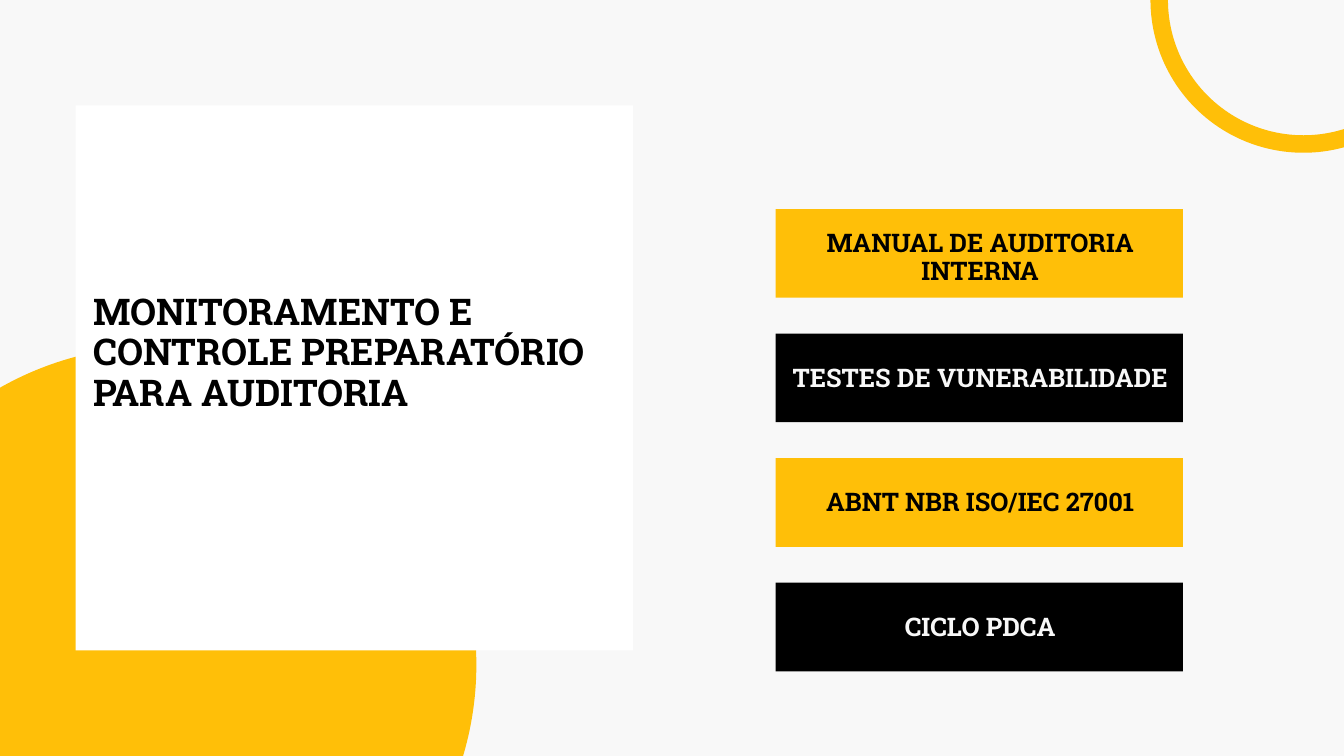
from collections import namedtuple
from pptx import Presentation
from pptx.dml.color import RGBColor
from pptx.enum.shapes import MSO_SHAPE as SHAPE
from pptx.enum.text import MSO_AUTO_SIZE as FIT, PP_ALIGN as ALIGN
from pptx.util import Pt

Theme = namedtuple("Theme", "font paper white yellow black title label")
theme = Theme(
    font="Roboto Slab",
    paper=RGBColor.from_string("F8F8F8"),
    white=RGBColor.from_string("FFFFFF"),
    yellow=RGBColor.from_string("FFBF08"),
    black=RGBColor.from_string("000000"),
    title=(39.4, 43.3),
    label=(27.4, 30.1),
)

prs = Presentation()
prs.slide_width, prs.slide_height = Pt(1440), Pt(810)
s = prs.slides.add_slide(prs.slide_layouts[6])
s.background.fill.solid()
s.background.fill.fore_color.rgb = theme.paper


def add_shape(kind, x, y, w, h, fill=None, line=None):
    sp = s.shapes.add_shape(kind, Pt(x), Pt(y), Pt(w), Pt(h))
    sp.shadow.inherit = False
    if fill is None:
        sp.fill.background()
    else:
        sp.fill.solid()
        sp.fill.fore_color.rgb = fill
    if line is None:
        sp.line.fill.background()
    else:
        sp.line.color.rgb = line
        sp.line.width = Pt(18.75)


def add_text(text, x, y, w, h, style, color, align):
    tf = s.shapes.add_textbox(Pt(x), Pt(y), Pt(w), Pt(h)).text_frame
    tf.word_wrap = True
    tf.auto_size = FIT.SHAPE_TO_FIT_TEXT
    tf.margin_left = tf.margin_top = tf.margin_right = tf.margin_bottom = 0
    size, spacing = style
    p = tf.paragraphs[0]
    p.alignment = align
    p.line_spacing = Pt(spacing)
    r = p.add_run()
    r.text = text
    r.font.name = theme.font
    r.font.size = Pt(size)
    r.font.bold = True
    r.font.color.rgb = color


add_shape(SHAPE.OVAL, -172.8, 370.8, 683.2, 683.2, fill=theme.yellow)
add_shape(SHAPE.RECTANGLE, 81, 113, 597, 584, fill=theme.white)
add_text("MONITORAMENTO E CONTROLE PREPARATÓRIO PARA AUDITORIA",
         100, 313.2, 559.4, 129, theme.title, theme.black, ALIGN.LEFT)
add_shape(SHAPE.OVAL, 1242, -154.7, 309, 309, line=theme.yellow)

labels = [
    ("MANUAL DE AUDITORIA INTERNA", 2),
    ("TESTES DE VUNERABILIDADE", 1),
    ("ABNT NBR ISO/IEC 27001", 1),
    ("CICLO PDCA", 1),
]
schemes = [(theme.yellow, theme.black), (theme.black, theme.paper)]
top, pitch = 224, 133.45
for i, (label, lines) in enumerate(labels):
    fill, color = schemes[i % 2]
    y = top + i * pitch
    inset = 21.6 if lines == 2 else 32.6
    add_shape(SHAPE.RECTANGLE, 831, y, 436.4, 95, fill=fill)
    add_text(label, 833, y + inset, 434.2, lines * theme.label[1],
             theme.label, color, ALIGN.CENTER)

prs.save("out.pptx")
